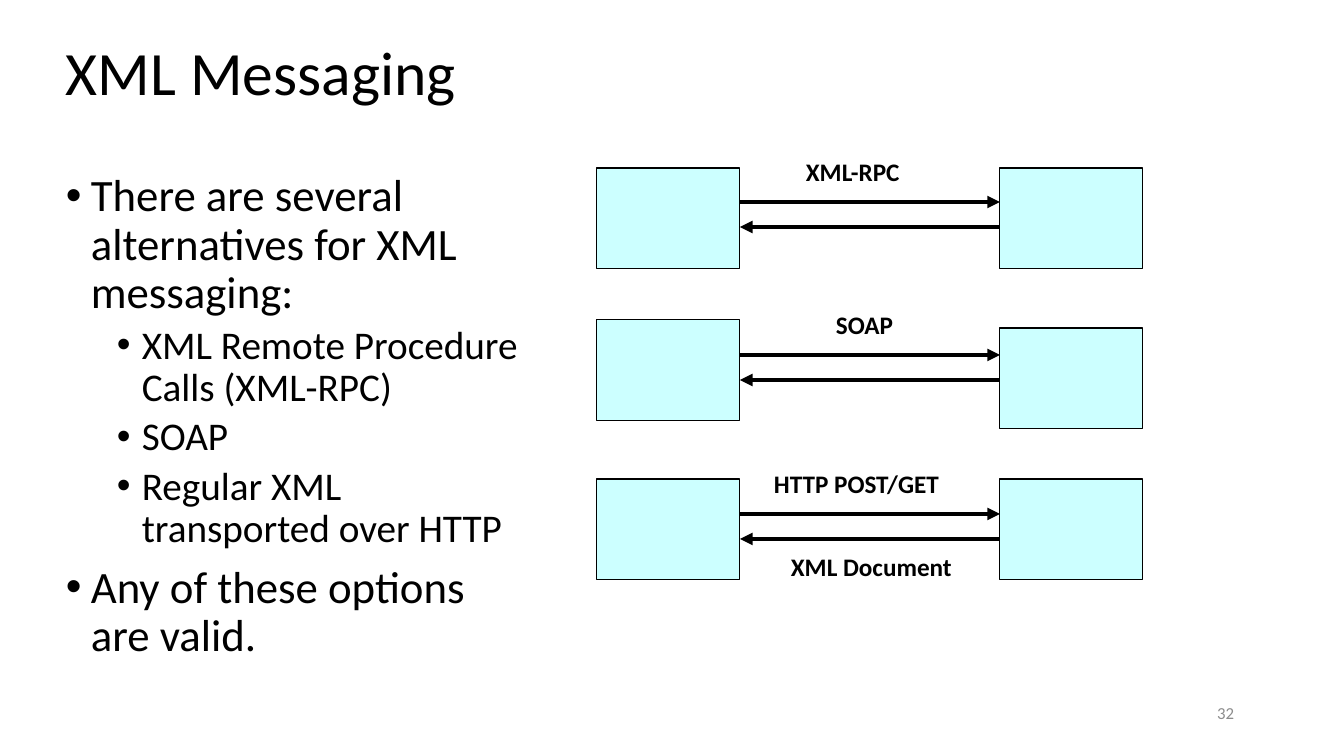
from lxml import etree
from pptx import Presentation, util as u
from pptx.dml.color import RGBColor
from pptx.enum import shapes, text
from pptx.oxml.ns import qn

# Content
TITLE = "XML Messaging"
PAGE_NUMBER = "32"
BULLETS = [
    (0, "There are several alternatives for XML messaging:"),
    (1, "XML Remote Procedure Calls (XML-RPC)"),
    (1, "SOAP"),
    (1, "Regular XML transported over HTTP"),
    (0, "Any of these options are valid."),
]
# Each exchange: left box top, right box top, request arrow y, labels (text, left, width)
EXCHANGES = [
    dict(left_top=168, right_top=168, arrow_y=202, request=("XML-RPC", 796, 117)),
    dict(left_top=320, right_top=328, arrow_y=355, request=("SOAP", 826, 79)),
    dict(left_top=479, right_top=479, arrow_y=514, request=("HTTP POST/GET", 764, 186),
         reply=("XML Document", 781, 182)),
]
COLORS = {"ink": "000000", "box": "CCFFFF", "number": "8C8C8C"}
FONT = "Calibri"
# Per bullet level: size, space before (pt), left indent (px)
LEVELS = [(32, 10, 25), (28, 5, 76)]
HANGING = 25

# Layout in px
SCALE = 914400 / 100.8
PAGE_W, PAGE_H = 1344, 756
LEFT_X, RIGHT_X, BOX_W, BOX_H = 597, 1000, 143, 101
REPLY_GAP, LABEL_H = 25, 40
REQUEST_LABEL_RISE, REPLY_LABEL_DROP = 51, 7


def px(length):
    return u.Emu(round(length * SCALE))


def color(name):
    return RGBColor.from_string(COLORS[name])


def add_span(para, words, size, ink="ink", bold=False):
    span = para.add_run()
    span.text = words
    span.font.name, span.font.size, span.font.bold = FONT, u.Pt(size), bold
    span.font.color.rgb = color(ink)


def add_frame(place, wrap=True, anchor=text.MSO_ANCHOR.TOP):
    frame = page.shapes.add_textbox(*map(px, place)).text_frame
    frame.word_wrap, frame.vertical_anchor = wrap, anchor
    return frame


def add_text(words, place, wrap=True, anchor=text.MSO_ANCHOR.MIDDLE,
             align=text.PP_ALIGN.LEFT, **style):
    para = add_frame(place, wrap, anchor).paragraphs[0]
    para.alignment = align
    add_span(para, words, **style)


def add_label(label, top):
    words, left, width = label
    add_text(words, (left, top, width, LABEL_H), wrap=False,
             anchor=text.MSO_ANCHOR.TOP, size=18, bold=True)


def add_box(left, top):
    box = page.shapes.add_shape(shapes.MSO_SHAPE.RECTANGLE, *map(px, (left, top, BOX_W, BOX_H)))
    box.shadow.inherit = False
    box.fill.solid()
    box.fill.fore_color.rgb = color("box")
    box.line.color.rgb = color("ink")
    box.line.width = u.Pt(0.75)


def add_arrow(start, end, y):
    arrow = page.shapes.add_connector(shapes.MSO_CONNECTOR.STRAIGHT, *map(px, (start, y, end, y)))
    arrow.line.color.rgb = color("ink")
    arrow.line.width = u.Pt(3)
    etree.SubElement(arrow.line._get_or_add_ln(), qn("a:tailEnd"), type="triangle")
    etree.SubElement(arrow._element.spPr, qn("a:effectLst"))


deck = Presentation()
deck.slide_width, deck.slide_height = px(PAGE_W), px(PAGE_H)
page = deck.slides.add_slide(deck.slide_layouts[6])

# Title and page number
add_text(TITLE, (56, 8, 1232, 126), size=44)
add_text(PAGE_NUMBER, (964, 688, 280, 50), align=text.PP_ALIGN.RIGHT, size=12, ink="number")

# Bullets
frame = add_frame((56, 168, 487, 539))
for index, (level, words) in enumerate(BULLETS):
    size, space, indent = LEVELS[level]
    para = frame.add_paragraph() if index else frame.paragraphs[0]
    props = para._p.get_or_add_pPr()
    props.set("marL", str(px(indent)))
    props.set("indent", str(-px(HANGING)))
    etree.SubElement(props, qn("a:buFont"), typeface="Arial")
    etree.SubElement(props, qn("a:buChar"), char="•")
    para.level = level
    para.line_spacing = 0.9
    para.space_before = u.Pt(space if index else 0)
    add_span(para, words, size)

# Message exchanges
for exchange in EXCHANGES:
    request_y = exchange["arrow_y"]
    reply_y = request_y + REPLY_GAP
    add_arrow(LEFT_X + BOX_W, RIGHT_X, request_y)
    add_arrow(RIGHT_X, LEFT_X + BOX_W, reply_y)
    add_label(exchange["request"], request_y - REQUEST_LABEL_RISE)
    if "reply" in exchange:
        add_label(exchange["reply"], reply_y + REPLY_LABEL_DROP)
    add_box(LEFT_X, exchange["left_top"])
    add_box(RIGHT_X, exchange["right_top"])

deck.save("out.pptx")
